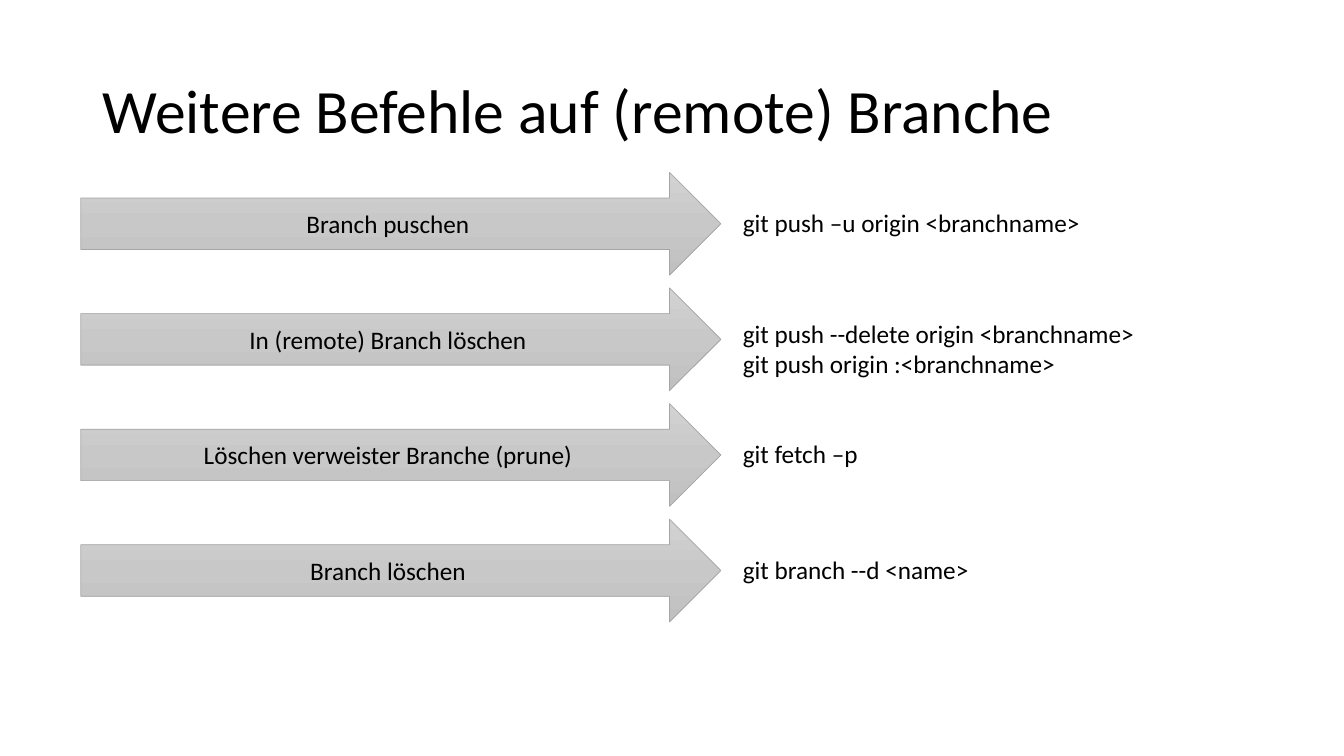
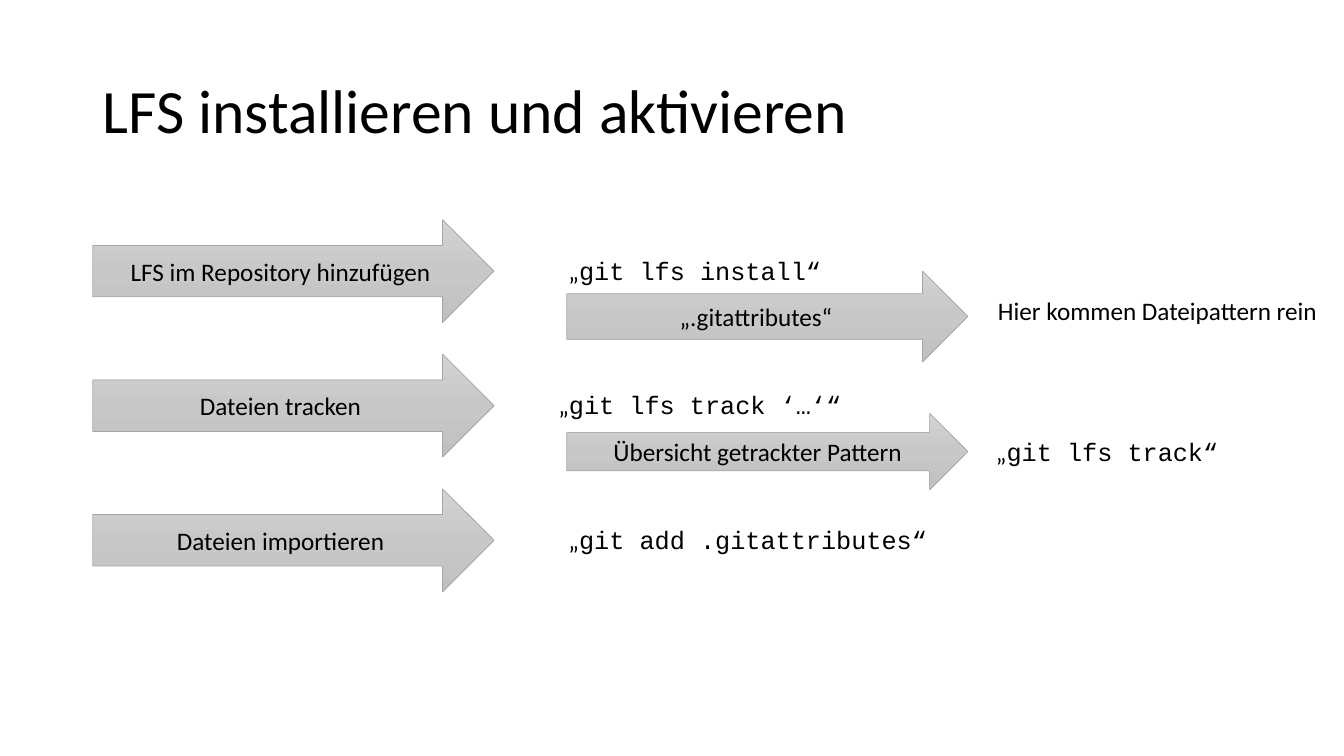
"""Build two slides on Git branches and Git LFS."""
from copy import deepcopy
from dataclasses import dataclass

from pptx import Presentation
from pptx.dml.color import RGBColor
from pptx.enum import shapes, text
from pptx.oxml.ns import qn
from pptx.util import Inches, Pt


@dataclass(frozen=True)
class Theme:
    """Hold the colours, fonts and sizes of the deck."""
    ink: str = "000000"
    edge: str = "A5A5A5"
    gradient: tuple = ((0, "D2D2D2"), (0.5, "C8C8C8"), (1, "C0C0C0"))
    font: str = "Calibri"
    code_font: str = "Courier New"
    title_size: int = 44
    body_size: int = 18


THEME = Theme()
TITLE_BOX = (0.92, 0.4, 11.5, 1.45)
LINE_HEIGHT = 0.4
OPENING_QUOTE = "„"


def style_run(run, size=THEME.body_size, font=THEME.font):
    """Set size, font and ink of a run."""
    run.font.size = Pt(size)
    run.font.name = font
    run.font.color.rgb = RGBColor.from_string(THEME.ink)


def add_text(slide, box, wording, size=THEME.body_size):
    """Place plain left-aligned text and return its frame."""
    frame = slide.shapes.add_textbox(*map(Inches, box)).text_frame
    frame.word_wrap = True
    frame.text = wording
    for paragraph in frame.paragraphs:
        for run in paragraph.runs:
            style_run(run, size)
    return frame


def add_quoted_code(slide, box, command):
    """Place a command in code type after an opening quote."""
    frame = add_text(slide, box, OPENING_QUOTE)
    run = frame.paragraphs[0].add_run()
    run.text = command
    style_run(run, font=THEME.code_font)


def fill_gradient(shape):
    """Fill a shape from top to bottom with the theme gradient."""
    shape.fill.gradient()
    shape.fill.gradient_angle = 270
    stop_list = shape._element.spPr.find(qn("a:gradFill")).find(qn("a:gsLst"))
    stop_list.append(deepcopy(stop_list[-1]))
    for stop, (position, colour) in zip(shape.fill.gradient_stops, THEME.gradient):
        stop.position = position
        stop.color.rgb = RGBColor.from_string(colour)


def add_arrow(slide, box, label):
    """Place a labelled arrow that points right."""
    arrow = slide.shapes.add_shape(shapes.MSO_SHAPE.RIGHT_ARROW, *map(Inches, box))
    arrow.shadow.inherit = False
    fill_gradient(arrow)
    arrow.line.color.rgb = RGBColor.from_string(THEME.edge)
    arrow.line.width = Pt(0.5)
    frame = arrow.text_frame
    frame.text = label
    frame.vertical_anchor = text.MSO_ANCHOR.MIDDLE
    paragraph = frame.paragraphs[0]
    paragraph.alignment = text.PP_ALIGN.CENTER
    style_run(paragraph.runs[0])


def add_titled_slide(presentation, title):
    """Add a blank slide with a title."""
    slide = presentation.slides.add_slide(presentation.slide_layouts[6])
    frame = add_text(slide, TITLE_BOX, title, THEME.title_size)
    frame.vertical_anchor = text.MSO_ANCHOR.MIDDLE
    frame.paragraphs[0].line_spacing = 0.9
    return slide


def add_command_rows(slide, box, rows):
    """Stack arrows in a box, each with its commands to the right."""
    left, top, width, height = box
    arrow_height = 1.02
    pitch = (height - arrow_height) / (len(rows) - 1)
    for index, (label, commands) in enumerate(rows):
        row_top = top + index * pitch
        add_arrow(slide, (left, row_top, width, arrow_height), label)
        text_top = row_top + 0.35 - 0.05 * len(commands)
        text_box = (left + width + 0.12, text_top, 5, LINE_HEIGHT * len(commands))
        add_text(slide, text_box, "\n".join(commands))


def add_lfs_steps(slide, box, steps):
    """Stack step arrows in a box, each with its command to the right."""
    left, top, width, height = box
    arrow_height = 1.02
    pitch = (height - arrow_height) / (len(steps) - 1)
    for index, (label, command, gap) in enumerate(steps):
        step_top = top + index * pitch
        add_arrow(slide, (left, step_top, width, arrow_height), label)
        add_quoted_code(slide, (left + width + gap, step_top + 0.3, 4.2, LINE_HEIGHT), command)


def add_branch_slide(presentation):
    """Build the slide on branch commands."""
    slide = add_titled_slide(presentation, "Weitere Befehle auf (remote) Branche")
    add_command_rows(slide, (0.8, 1.71, 6.35, 4.46), (
        ("Branch puschen", ("git push –u origin <branchname>",)),
        ("In (remote) Branch löschen",
         ("git push --delete origin <branchname>", "git push origin :<branchname>")),
        ("Löschen verweister Branche (prune)", ("git fetch –p",)),
        ("Branch löschen", ("git branch --d <name>",)),
    ))


def add_lfs_slide(presentation):
    """Build the slide on installing LFS."""
    slide = add_titled_slide(presentation, "LFS installieren und aktivieren")
    add_lfs_steps(slide, (0.92, 2.18, 3.98, 3.69), (
        ("LFS im Repository hinzufügen", "git lfs install“", 0.64),
        ("Dateien tracken", "git lfs track ‘…‘“", 0.54),
        ("Dateien importieren", "git add .gitattributes“", 0.64),
    ))
    add_arrow(slide, (5.62, 2.69, 3.98, 0.9), "„.gitattributes“")
    add_text(slide, (9.8, 2.88, 3.5, LINE_HEIGHT), "Hier kommen Dateipattern rein")
    add_arrow(slide, (5.62, 4.1, 3.98, 0.76), "Übersicht getrackter Pattern")
    add_quoted_code(slide, (9.78, 4.28, 3.5, LINE_HEIGHT), "git lfs track“")


def main():
    """Build and save the presentation."""
    presentation = Presentation()
    presentation.slide_width = Inches(13.33)
    presentation.slide_height = Inches(7.5)
    add_branch_slide(presentation)
    add_lfs_slide(presentation)
    presentation.save("out.pptx")


if __name__ == "__main__":
    main()
